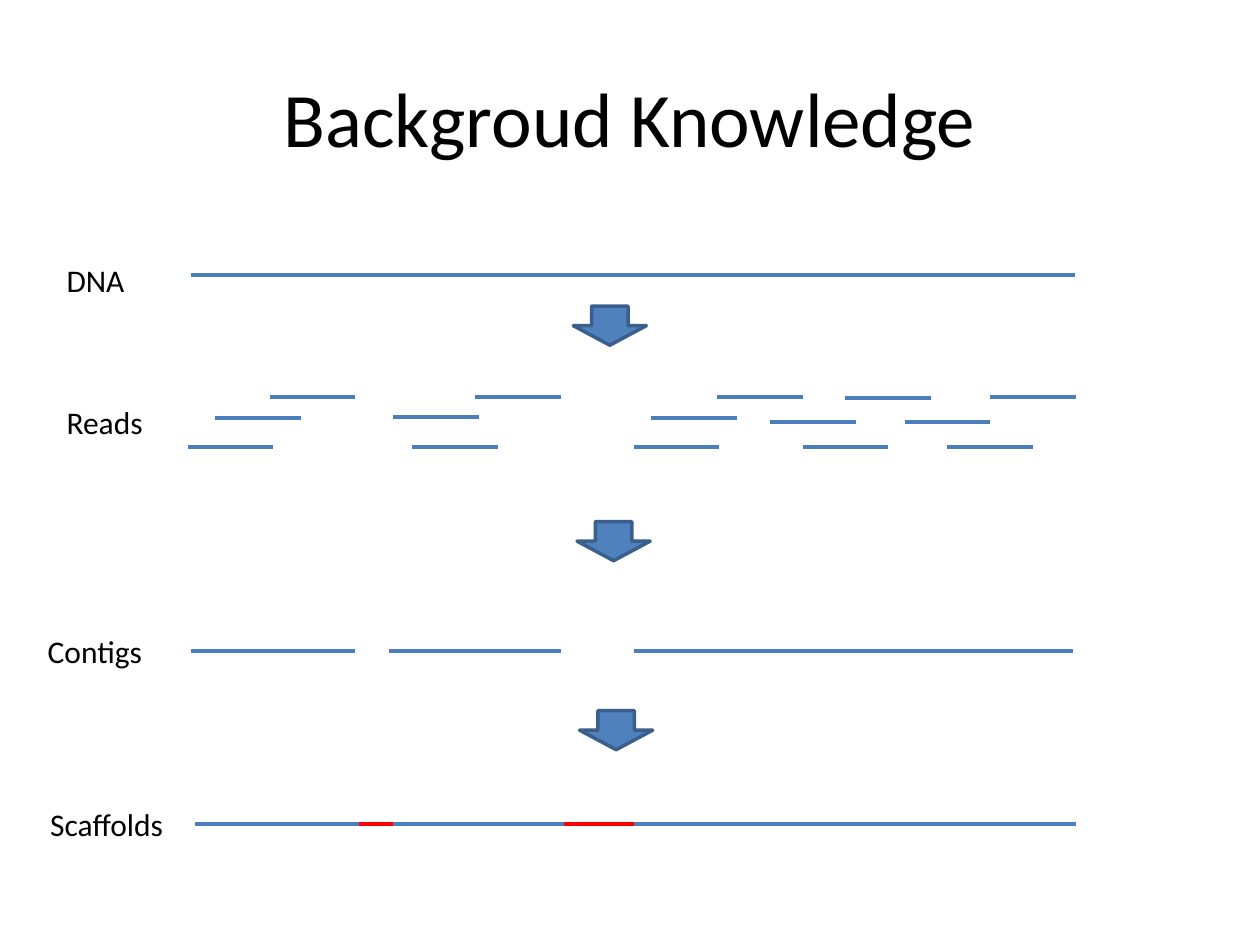
from lxml import etree
from pptx import Presentation
from pptx import util as u
from pptx.dml.color import RGBColor
from pptx.enum import shapes, text
from pptx.oxml import ns

BLUE = RGBColor(0x4B, 0x7E, 0xBC)
FILL = RGBColor(0x4F, 0x81, 0xBD)
EDGE = RGBColor(0x3A, 0x5F, 0x8C)
RED = RGBColor(0xFF, 0, 0)
BLACK = RGBColor(0, 0, 0)
WIDE, HIGH = 10, 7.5
READ = 0.68

LABELS = [
    ("DNA", 0.43, 2.02, 0.87),
    ("Reads", 0.43, 3.15, 0.87),
    ("Contigs", 0.28, 4.97, 1.02),
    ("Scaffolds", 0.3, 6.34, 1.22),
]
ARROWS = [(4.55, 2.43), (4.58, 4.14), (4.6, 5.64)]
STRANDS = [
    (2.18, BLUE, [(1.52, 8.53)]),
    (5.17, BLUE, [(1.52, 2.82), (3.09, 4.45), (5.03, 8.52)]),
    (6.54, BLUE, [(1.55, 2.85), (3.12, 4.48), (5.03, 8.54)]),
    (6.54, RED, [(2.85, 3.12), (4.48, 5.03)]),
]
READS = {
    3.15: [2.14, 3.77, 5.69, 7.86],
    3.16: [6.71],
    3.31: [3.12],
    3.32: [1.71, 5.17],
    3.35: [6.11, 7.18],
    3.55: [1.49, 3.27, 5.03, 6.37, 7.52],
}


def style(frame, size):
    for run in frame.paragraphs[0].runs:
        run.font.name = "Calibri"
        run.font.size = u.Pt(size)
        run.font.color.rgb = BLACK


def add_title(slide, words):
    title = slide.shapes.title
    title.left, title.top = u.Inches(0.05 * WIDE), u.Inches(0.04 * HIGH)
    title.width, title.height = u.Inches(0.9 * WIDE), u.Inches(1.25)
    frame = title.text_frame
    frame.text = words
    frame.vertical_anchor = text.MSO_ANCHOR.MIDDLE
    frame.paragraphs[0].alignment = text.PP_ALIGN.CENTER
    style(frame, 44)


def add_label(slide, words, left, top, width):
    box = slide.shapes.add_textbox(*map(u.Inches, (left, top, width, 0.4)))
    frame = box.text_frame
    frame.word_wrap = True
    frame.auto_size = text.MSO_AUTO_SIZE.SHAPE_TO_FIT_TEXT
    frame.text = words
    style(frame, 18)


def add_line(slide, start, end, top, color):
    line = slide.shapes.add_connector(
        shapes.MSO_CONNECTOR.STRAIGHT, *map(u.Inches, (start, top, end, top)))
    line.line.color.rgb = color
    line.line.width = u.Pt(2.25)
    etree.SubElement(line._element.spPr, ns.qn("a:effectLst"))


def add_arrow(slide, left, top):
    arrow = slide.shapes.add_shape(
        shapes.MSO_SHAPE.DOWN_ARROW, *map(u.Inches, (left, top, 0.58, 0.31)))
    arrow.shadow.inherit = False
    arrow.fill.solid()
    arrow.fill.fore_color.rgb = FILL
    arrow.line.color.rgb = EDGE
    arrow.line.width = u.Pt(2)


def main():
    deck = Presentation()
    deck.slide_width, deck.slide_height = u.Inches(WIDE), u.Inches(HIGH)
    slide = deck.slides.add_slide(deck.slide_layouts[5])
    add_title(slide, "Backgroud Knowledge")
    for label in LABELS:
        add_label(slide, *label)
    for arrow in ARROWS:
        add_arrow(slide, *arrow)
    for top, color, spans in STRANDS:
        for start, end in spans:
            add_line(slide, start, end, top, color)
    for top, starts in READS.items():
        for start in starts:
            add_line(slide, start, start + READ, top, BLUE)
    deck.save("out.pptx")


if __name__ == "__main__":
    main()
